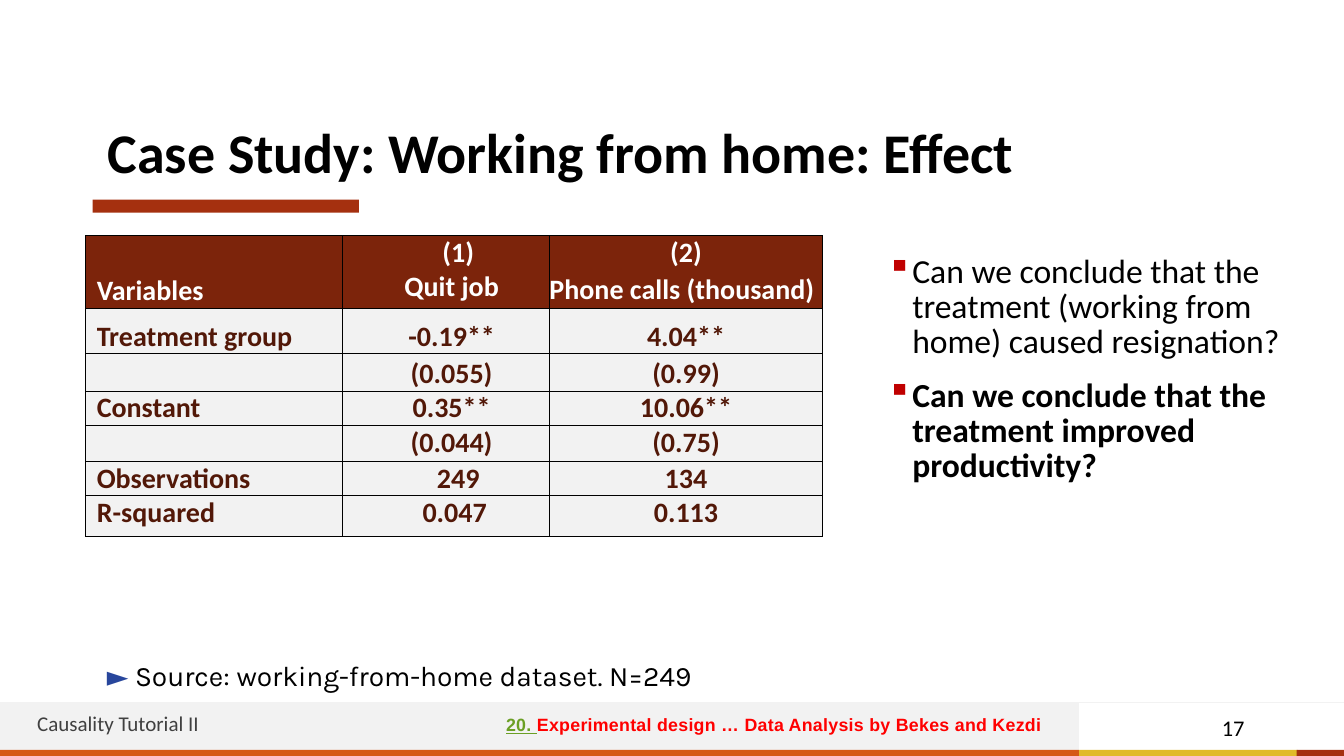
from dataclasses import dataclass, field

from lxml import etree
from pptx import Presentation
from pptx import util as u
from pptx.dml import color
from pptx.enum import shapes, text
from pptx.oxml import ns

COLORS = {
    "white": "FFFFFF", "black": "000000", "gray": "F2F2F2", "charcoal": "404040",
    "gold": "E1BA29", "orange": "D55816", "rust": "A5300F", "header": "7C240B",
    "cell": "521808", "bullet": "C00000", "blue": "28469C", "green": "6B9F25",
    "red": "FF0000",
}
TOP, MIDDLE, BOTTOM = text.MSO_ANCHOR.TOP, text.MSO_ANCHOR.MIDDLE, text.MSO_ANCHOR.BOTTOM
LEFT, CENTER = text.PP_ALIGN.LEFT, text.PP_ALIGN.CENTER


@dataclass
class Run:
    words: str
    size: float
    tint: str
    font: str = "Calibri"
    bold: bool = False
    underline: bool = False
    spacing: int = 0


@dataclass
class Para:
    runs: list[Run]
    layout: dict = field(default_factory=dict)
    margin: float = 0
    hanging: float = 0
    bullet: str = ""


@dataclass
class Box:
    left: float
    top: float
    width: float
    height: float
    paras: list[Para]
    layout: dict = field(default_factory=dict)


@dataclass
class Bar:
    left: float
    top: float
    width: float
    height: float
    tint: str


@dataclass
class Cell:
    lines: tuple[str, ...]
    indents: tuple[float, ...] = (0,)
    align: text.PP_ALIGN = CENTER


def rgb(tint: str) -> color.RGBColor:
    return color.RGBColor.from_string(COLORS[tint])


def apply(target, values: dict) -> None:
    for name, value in values.items():
        setattr(target, name, value)


def add_xml(parent, tag: str, **attributes: str):
    return etree.SubElement(parent, ns.qn(tag), attributes)


def write(frame, paras: list[Para]) -> None:
    for i, para in enumerate(paras):
        paragraph = frame.add_paragraph() if i else frame.paragraphs[0]
        apply(paragraph, para.layout)
        props = paragraph._p.get_or_add_pPr()
        props.set("marL", str(u.Inches(para.margin)))
        props.set("indent", str(u.Inches(-para.hanging)))
        if para.bullet:
            add_xml(add_xml(props, "a:buClr"), "a:srgbClr", val=COLORS["bullet"])
            add_xml(props, "a:buChar", char=para.bullet)
        for part in para.runs:
            run = paragraph.add_run()
            run.text = part.words
            apply(run.font, {"name": part.font, "size": u.Pt(part.size),
                             "bold": part.bold, "underline": part.underline})
            run.font.color.rgb = rgb(part.tint)
            if part.spacing:
                run.font._element.set("spc", str(part.spacing))


def draw_bar(slide, bar: Bar) -> None:
    shape = slide.shapes.add_shape(
        shapes.MSO_SHAPE.RECTANGLE, u.Inches(bar.left), u.Inches(bar.top),
        u.Inches(bar.width), u.Inches(bar.height))
    shape.shadow.inherit = False
    shape.fill.solid()
    shape.fill.fore_color.rgb = rgb(bar.tint)
    shape.line.fill.background()


def draw_box(slide, box: Box) -> None:
    frame = slide.shapes.add_textbox(u.Inches(box.left), u.Inches(box.top),
                                     u.Inches(box.width), u.Inches(box.height)).text_frame
    apply(frame, {"word_wrap": True, **box.layout})
    write(frame, box.paras)


def draw_borders(cell, thick_sides: str) -> None:
    props = cell._tc.get_or_add_tcPr()
    for i, side in enumerate("LRTB"):
        width = 1.5 if side in thick_sides else 0.75
        edge = etree.Element(ns.qn(f"a:ln{side}"), w=str(u.Pt(width)))
        add_xml(add_xml(edge, "a:solidFill"), "a:srgbClr", val=COLORS["black"])
        props.insert(i, edge)


# Regression results
COLUMN_WIDTHS = (2.55, 2.05, 2.71)
ROW_HEIGHTS = (0.72, 0.45, 0.37, 0.34, 0.36, 0.34, 0.4)
THICK_BELOW = (0, 4)
BOTTOM_ROWS = (1, 2, 5)


def result_row(label: str, quit_job: str, calls: str, quit_indent: float = 0.11) -> list[Cell]:
    return [Cell((label,), (0.11,), LEFT), Cell((quit_job,), (quit_indent,)), Cell((calls,))]


RESULTS = [
    [Cell(("Variables",), (0.11,), LEFT),
     Cell(("(1)", "Quit job"), (0.24, 0.11)),
     Cell(("(2)", "Phone calls (thousand)"), (0, 0))],
    result_row("Treatment group", "-0.19**", "4.04**"),
    result_row("", "(0.055)", "(0.99)"),
    result_row("Constant", "0.35**", "10.06**"),
    result_row("", "(0.044)", "(0.75)"),
    result_row("Observations", "249", "134", 0.24),
    result_row("R-squared", "0.047", "0.113", 0.17),
]
NO_MARGINS = dict.fromkeys(("margin_left", "margin_top", "margin_right", "margin_bottom"), 0)


def draw_results(slide) -> None:
    table = slide.shapes.add_table(
        len(ROW_HEIGHTS), len(COLUMN_WIDTHS), u.Inches(0.85), u.Inches(2.34),
        u.Inches(sum(COLUMN_WIDTHS)), u.Inches(sum(ROW_HEIGHTS))).table
    apply(table, {"first_row": False, "horz_banding": False})
    for column, width in zip(table.columns, COLUMN_WIDTHS):
        column.width = u.Inches(width)
    for r, (row, height) in enumerate(zip(RESULTS, ROW_HEIGHTS)):
        table.rows[r].height = u.Inches(height)
        for c, entry in enumerate(row):
            cell = table.cell(r, c)
            low = r in BOTTOM_ROWS or (r, c) == (0, 0)
            apply(cell, {**NO_MARGINS, "vertical_anchor": BOTTOM if low else TOP})
            cell.fill.solid()
            cell.fill.fore_color.rgb = rgb("gray" if r else "header")
            draw_borders(cell, ("B" if r in THICK_BELOW else "")
                         + ("T" if r - 1 in THICK_BELOW else ""))
            paras = [Para([Run(line, 20, "cell" if r else "white", bold=True)],
                          {"alignment": entry.align}, indent)
                     for line, indent in zip(entry.lines, entry.indents)]
            if (r, c) == (0, 2):
                paras[0].layout["space_after"] = u.Pt(2.1)
                paras[1].layout["alignment"] = LEFT
            write(cell.text_frame, paras)


# Bars of the footer and under the title
BARS = [
    Bar(10.7, 7.44, 2.17, 0.06, "gold"),
    Bar(0, 6.97, 10.7, 0.47, "gray"),
    Bar(0, 7.44, 10.7, 0.06, "orange"),
    Bar(12.86, 7.44, 0.47, 0.06, "rust"),
    Bar(0.92, 1.98, 2.64, 0.13, "rust"),
]

# Text around the table
QUESTION_LAYOUT = {"line_spacing": u.Pt(25.1), "space_before": u.Pt(13.2)}
QUESTIONS = [
    ("Can we conclude that the treatment (working from home) caused resignation?", False),
    ("Can we conclude that the treatment improved productivity?", True),
]
TITLE = Box(0.97, 1.11, 11.5, 0.87, [
    Para([Run("Case Study: Working from home: Effect", 40, "black", bold=True)],
         {"line_spacing": 0.9})], {"vertical_anchor": MIDDLE})
DISCUSSION = Box(8.7, 2.48, 4.5, 3.38, [
    Para([Run(question, 24, "black", bold=bold)], QUESTION_LAYOUT, 0.25, 0.25, "▪")
    for question, bold in QUESTIONS])
SOURCE = Box(1.06, 6.47, 12.05, 0.73, [
    Para([Run("► ", 20.1, "blue", "Karla"),
          Run("Source: working-from-home dataset. N=249", 20.1, "black", "Karla")],
         {"line_spacing": u.Pt(28.9)})], NO_MARGINS)
PAGE_NUMBER = Box(12.02, 7.04, 0.56, 0.55, [Para([Run("17", 16, "black")])])
CHAPTER = Box(4.99, 7.06, 5.36, 0.23, [
    Para([Run("20. ", 12.7, "green", "Arial", True, True, 20),
          Run("Experimental design … Data Analysis by Bekes and Kezdi",
              12.7, "red", "Arial", True, False, 20)],
         {"space_before": u.Pt(1.3)}, 0.03)], {**NO_MARGINS, "margin_top": u.Inches(0.02)})
COURSE = Box(0.27, 7, 4.4, 0.44, [Para([Run("Causality Tutorial II", 15, "charcoal")])])


def main() -> None:
    deck = Presentation()
    apply(deck, {"slide_width": u.Inches(13.33), "slide_height": u.Inches(7.5)})
    slide = deck.slides.add_slide(deck.slide_layouts[6])
    for bar in BARS:
        draw_bar(slide, bar)
    footer_rule = slide.shapes.add_connector(
        shapes.MSO_CONNECTOR.STRAIGHT, u.Inches(13.33), u.Inches(6.97), 0, u.Inches(6.97))
    footer_rule.line.color.rgb = rgb("gray")
    footer_rule.line.width = u.Pt(0.5)
    add_xml(footer_rule._element.spPr, "a:effectLst")
    for box in (TITLE, DISCUSSION, SOURCE):
        draw_box(slide, box)
    draw_results(slide)
    for box in (PAGE_NUMBER, CHAPTER, COURSE):
        draw_box(slide, box)
    deck.save("out.pptx")


if __name__ == "__main__":
    main()
